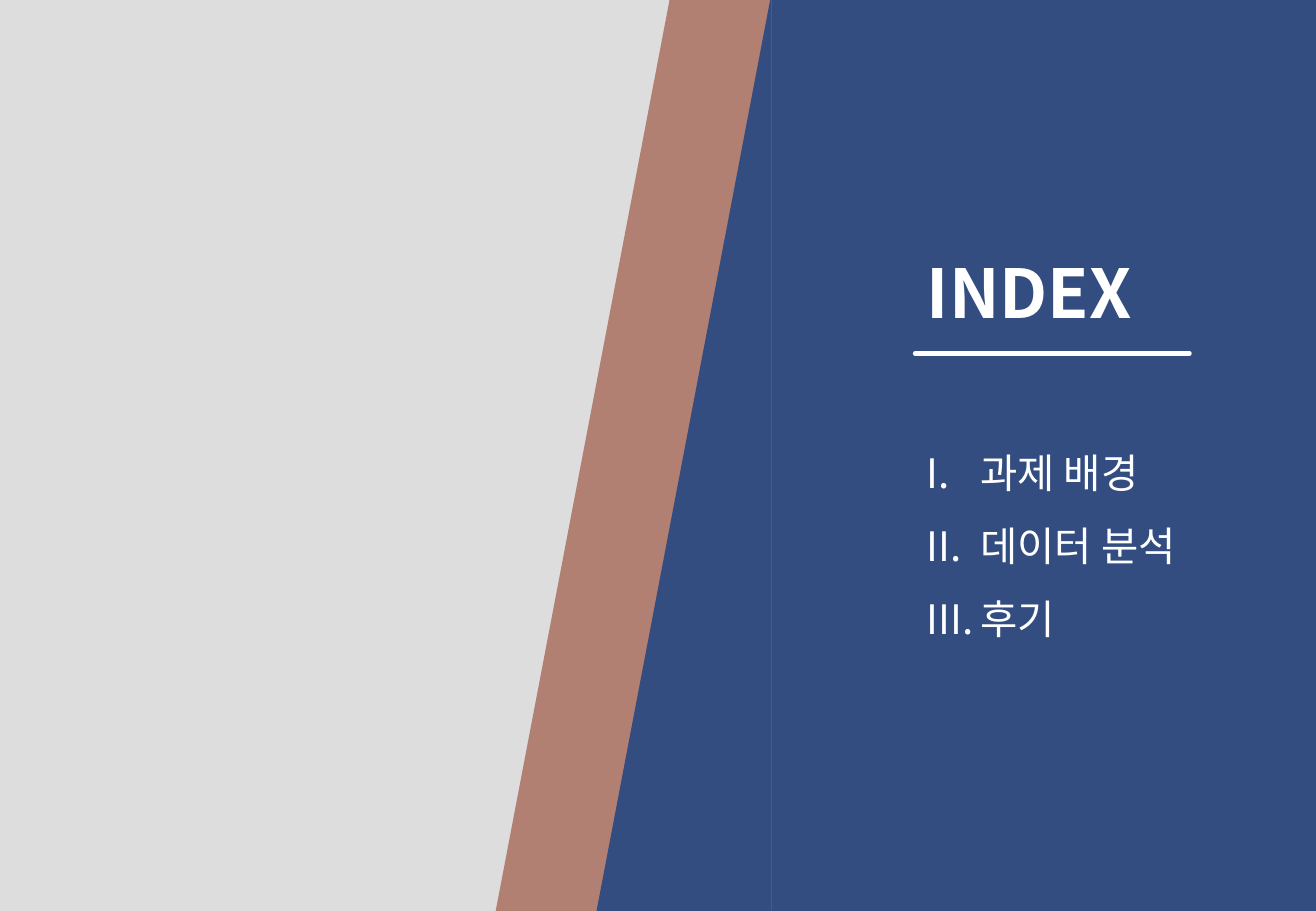
from lxml.etree import SubElement
from pptx import Presentation
from pptx.dml.color import RGBColor
from pptx.enum.shapes import MSO_CONNECTOR, MSO_SHAPE
from pptx.enum.text import MSO_AUTO_SIZE, PP_ALIGN
from pptx.oxml.ns import qn
from pptx.util import Emu, Inches, Pt

COLORS = {"gray": "D8D8D8", "clay": "B28072", "navy": "334D80", "white": "FFFFFF"}
FONT = "Noto Sans CJK KR"
WIDTH, HEIGHT = 10.83, 7.5
TEXT_LEFT = 7.53
TOPICS = ["과제 배경", "데이터 분석", "후기"]


def rgb(name):
    return RGBColor.from_string(COLORS[name])


def add_block(slide, kind, box, color):
    shape = slide.shapes.add_shape(kind, *map(Inches, box))
    shape.shadow.inherit = False
    shape.fill.solid()
    shape.fill.fore_color.rgb = rgb(color)
    shape.line.fill.background()
    return shape


def set_opacity(shape, percent):
    color = shape.fill._xPr.find(qn("a:solidFill"))[0]
    SubElement(color, qn("a:alpha"), val=str(percent * 1000))


def add_slanted_panel(slide, left, slant_left, top, color):
    add_block(slide, MSO_SHAPE.RECTANGLE, (left, 0, WIDTH - left, HEIGHT), color)
    slant_box = (slant_left, top, 1.44, HEIGHT - top)
    slant = add_block(slide, MSO_SHAPE.RIGHT_TRIANGLE, slant_box, color)
    slant._element.spPr.find(qn("a:xfrm")).set("flipH", "1")


def add_rule(slide, left, right, y):
    rule = slide.shapes.add_connector(
        MSO_CONNECTOR.STRAIGHT, Inches(left), Inches(y), Inches(right), Inches(y))
    rule.line.color.rgb = rgb("white")
    rule.line.width = Pt(2.5)
    rule.line._get_or_add_ln().set("cap", "rnd")
    SubElement(rule._element.spPr, qn("a:effectLst"))


def add_text_frame(slide, box):
    frame = slide.shapes.add_textbox(*map(Inches, box)).text_frame
    frame.word_wrap = True
    frame.auto_size = MSO_AUTO_SIZE.SHAPE_TO_FIT_TEXT
    return frame


def add_run(paragraph, text, size, bold=False):
    run = paragraph.add_run()
    run.text = text
    run.font.size = Pt(size)
    run.font.bold = bold
    run.font.name = FONT
    run.font.color.rgb = rgb("white")
    SubElement(run._r.get_or_add_rPr(), qn("a:ea"), typeface=FONT)


def number_paragraph(paragraph, indent):
    properties = paragraph._p.get_or_add_pPr()
    properties.set("marL", str(Emu(indent)))
    properties.set("indent", str(-Emu(indent)))
    bullet_color = SubElement(properties, qn("a:buClr"))
    SubElement(bullet_color, qn("a:srgbClr"), val=COLORS["white"])
    SubElement(properties, qn("a:buFont"), typeface="+mj-lt")
    SubElement(properties, qn("a:buAutoNum"), type="romanUcPeriod")


def add_title(slide):
    paragraph = add_text_frame(slide, (TEXT_LEFT, 2.02, 2.25, 0.77)).paragraphs[0]
    paragraph.alignment = PP_ALIGN.JUSTIFY
    add_run(paragraph, "INDEX", 40, bold=True)


def add_topics(slide):
    frame = add_text_frame(slide, (TEXT_LEFT, 3.44, 2.44, 1.85))
    for index, topic in enumerate(TOPICS):
        paragraph = frame.add_paragraph() if index else frame.paragraphs[0]
        paragraph.line_spacing = 1.5
        number_paragraph(paragraph, Inches(0.44))
        add_run(paragraph, topic, 24)


def main():
    presentation = Presentation()
    presentation.slide_width = Inches(WIDTH)
    presentation.slide_height = Inches(HEIGHT)
    slide = presentation.slides.add_slide(presentation.slide_layouts[6])

    backdrop = add_block(slide, MSO_SHAPE.RECTANGLE, (0, 0, 5.97, HEIGHT), "gray")
    set_opacity(backdrop, 86)
    add_slanted_panel(slide, 5.51, 4.08, -0.05, "clay")
    add_slanted_panel(slide, 6.35, 4.91, -0.06, "navy")
    add_rule(slide, TEXT_LEFT, 9.79, 2.91)
    add_title(slide)
    add_topics(slide)

    presentation.save("out.pptx")


if __name__ == "__main__":
    main()
